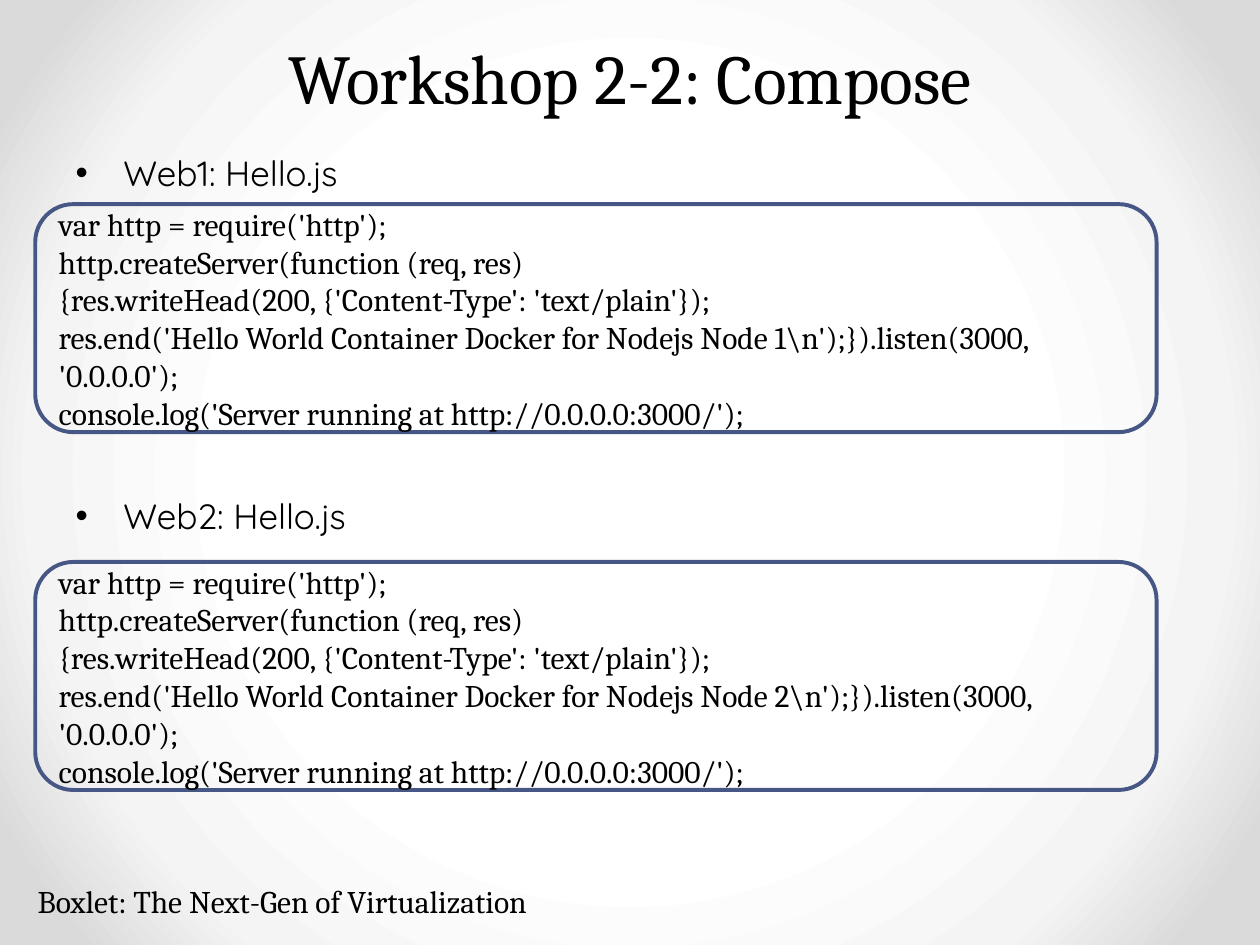
import pptx
import pptx.util
import pptx.dml.color
import pptx.enum.shapes
import pptx.enum.text
import pptx.oxml
import pptx.oxml.ns
from lxml import etree

Inches = pptx.util.Inches
Pt = pptx.util.Pt
RGBColor = pptx.dml.color.RGBColor
Anchor = pptx.enum.text.MSO_ANCHOR
Align = pptx.enum.text.PP_ALIGN
qn = pptx.oxml.ns.qn

BLACK = RGBColor(0x00, 0x00, 0x00)
BLUE = RGBColor(0x47, 0x57, 0x85)
STOPS = [(50, RGBColor(0xFF, 0xFF, 0xFF)), (76, RGBColor(0xF4, 0xF4, 0xF4)),
         (92, RGBColor(0xDA, 0xDA, 0xDA))]


def add_run(para, text, size, font="Cambria"):
    run = para.add_run()
    run.text = text
    run.font.size = Pt(size)
    run.font.name = font
    run.font.color.rgb = BLACK


def place(shape, left, top, width, height, anchor):
    shape.left, shape.top = Inches(left), Inches(top)
    shape.width, shape.height = Inches(width), Inches(height)
    frame = shape.text_frame
    frame.word_wrap = True
    frame.auto_size = pptx.enum.text.MSO_AUTO_SIZE.NONE
    frame.vertical_anchor = anchor
    return frame


prs = pptx.Presentation()
prs.slide_width, prs.slide_height = Inches(10), Inches(7.5)
slide = prs.slides.add_slide(prs.slide_layouts[1])

# Background: radial gradient from the centre
slide.background.fill.gradient()
grad = slide.element.find(".//" + qn("a:gradFill"))
for child in list(grad):
    grad.remove(child)
stops = etree.SubElement(grad, qn("a:gsLst"))
for pos, color in STOPS:
    stop = etree.SubElement(stops, qn("a:gs"), pos=str(pos * 1000))
    etree.SubElement(stop, qn("a:srgbClr"), val=str(color))
circle = etree.SubElement(grad, qn("a:path"), path="circle")
etree.SubElement(circle, qn("a:fillToRect"), l="50000", t="50000", r="50000", b="50000")

# Title
frame = place(slide.shapes.title, 0.5, 0, 9, 0.99, Anchor.BOTTOM)
para = frame.paragraphs[0]
para.alignment = Align.CENTER
para.line_spacing = Pt(58)
add_run(para, "Workshop 2-2: Compose", 40)

# Bulleted headings, spaced to leave room for the code
frame = place(slide.placeholders[1], 0.5, 1.15, 9, 5.55, Anchor.TOP)
for i, (name, gap) in enumerate([("Web1", 0), ("Web2", 172)]):
    para = frame.add_paragraph() if i else frame.paragraphs[0]
    props = para._p.get_or_add_pPr()
    props.set("marL", str(Inches(0.38)))
    props.set("indent", str(-Inches(0.38)))
    etree.SubElement(props, qn("a:buFont"), typeface="Arial")
    etree.SubElement(props, qn("a:buChar"), char="•")
    para.space_before = Pt(gap)
    add_run(para, f"{name}: Hello.js", 20, "Quicksand")

# Footer
box = slide.shapes.add_textbox(0, 0, 0, 0)
frame = place(box, 0.2, 6.95, 6.38, 0.4, Anchor.TOP)
add_run(frame.paragraphs[0], "Boxlet: The Next-Gen of Virtualization", 18)

# Code boxes
for node, top in [(1, 1.62), (2, 4.46)]:
    code = [
        "var http = require('http');",
        "http.createServer(function (req, res)",
        "{res.writeHead(200, {'Content-Type': 'text/plain'});",
        f"res.end('Hello World Container Docker for Nodejs Node {node}\\n');"
        "}).listen(3000, '0.0.0.0');",
        "console.log('Server running at http://0.0.0.0:3000/');",
    ]
    box = slide.shapes.add_shape(pptx.enum.shapes.MSO_SHAPE.ROUNDED_RECTANGLE, 0, 0, 0, 0)
    frame = place(box, 0.28, top, 8.9, 1.81, Anchor.MIDDLE)
    box.shadow.inherit = False
    box.fill.background()
    box.line.color.rgb = BLUE
    box.line.width = Pt(2.25)
    for i, line in enumerate(code):
        para = frame.add_paragraph() if i else frame.paragraphs[0]
        para.alignment = Align.LEFT
        add_run(para, line, 18)

prs.save("out.pptx")
